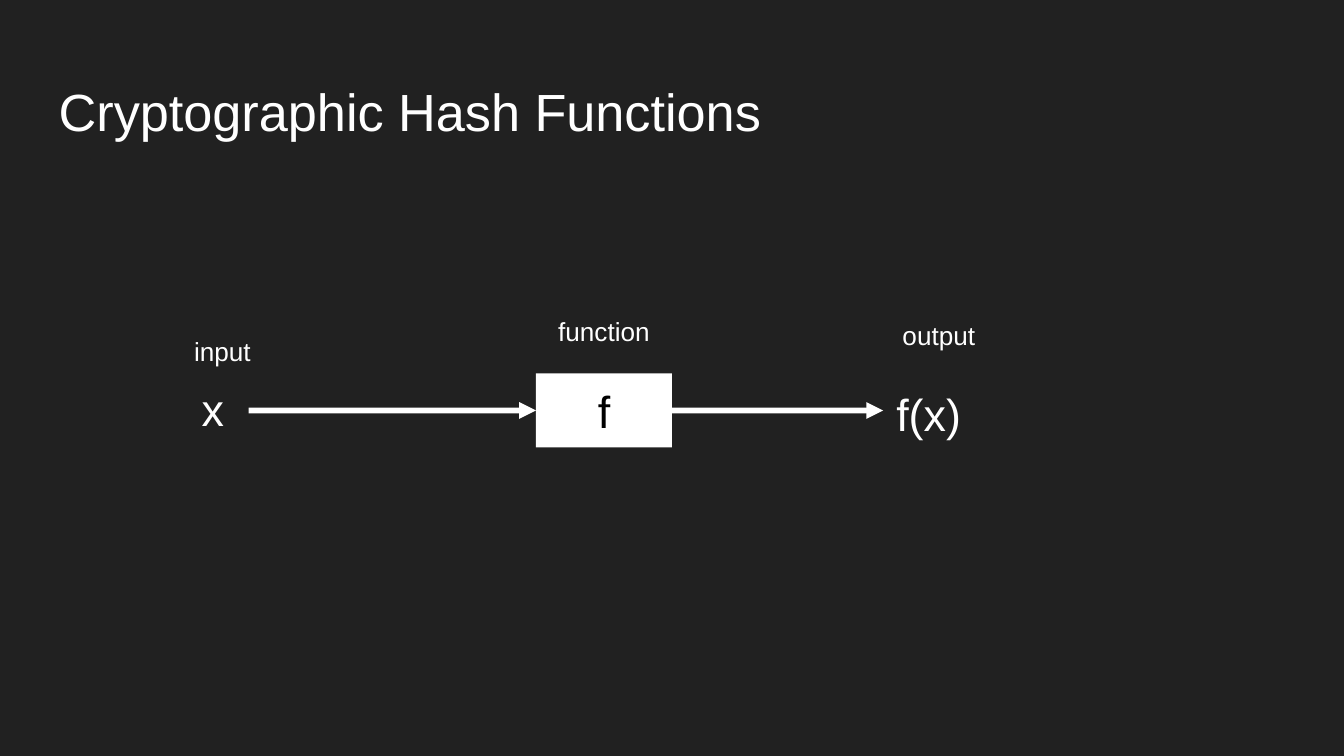
from lxml import etree
from pptx import Presentation
from pptx.dml.color import RGBColor
from pptx.enum.shapes import MSO_CONNECTOR, MSO_SHAPE
from pptx.enum.text import MSO_ANCHOR, PP_ALIGN
from pptx.oxml.ns import qn
from pptx.util import Cm, Pt

RECTANGLE, STRAIGHT = MSO_SHAPE.RECTANGLE, MSO_CONNECTOR.STRAIGHT
TOP, MIDDLE = MSO_ANCHOR.TOP, MSO_ANCHOR.MIDDLE
LEFT, CENTER = PP_ALIGN.LEFT, PP_ALIGN.CENTER
WHITE, BLACK, DARK = "FFFFFF", "000000", "212121"


def color(hex_string):
    return RGBColor.from_string(hex_string)


def write(shape, text, size, font_color=WHITE, anchor=TOP, align=LEFT):
    frame = shape.text_frame
    frame.word_wrap = True
    frame.vertical_anchor = anchor
    frame.margin_left = frame.margin_right = Cm(0.25)
    frame.margin_top = frame.margin_bottom = Cm(0.25)
    paragraph = frame.paragraphs[0]
    paragraph.alignment = align
    run = paragraph.add_run()
    run.text = text
    run.font.name = "Arial"
    run.font.size = Pt(size)
    run.font.color.rgb = color(font_color)


# Slide and background
presentation = Presentation()
presentation.slide_width = Cm(25.4)
presentation.slide_height = Cm(14.29)
slide = presentation.slides.add_slide(presentation.slide_layouts[5])
slide.background.fill.solid()
slide.background.fill.fore_color.rgb = color(DARK)

# Title
title = slide.shapes.title
title.left, title.top, title.width, title.height = Cm(0.86), Cm(1.24), Cm(23.67), Cm(1.6)
write(title, "Cryptographic Hash Functions", 28)

# Function box
function_box = slide.shapes.add_shape(RECTANGLE, Cm(10.13), Cm(7.06), Cm(2.57), Cm(1.4))
function_box.shadow.inherit = False
function_box.fill.solid()
function_box.fill.fore_color.rgb = color(WHITE)
function_box.line.fill.background()
write(function_box, "f", 24, BLACK, MIDDLE, CENTER)

# Input and output values, with the captions above
for text, left, top, width, height, size, anchor, align in [
    ("x", 3.56, 6.96, 1.27, 1.6, 24, TOP, LEFT),
    ("f(x)", 16.69, 7.06, 2.11, 1.4, 24, TOP, LEFT),
    ("input", 3.15, 5.94, 2.11, 1.4, 14, MIDDLE, CENTER),
    ("function", 10.13, 5.56, 2.57, 1.4, 14, MIDDLE, CENTER),
    ("output", 16.69, 5.64, 2.11, 1.4, 14, MIDDLE, CENTER),
]:
    label = slide.shapes.add_textbox(Cm(left), Cm(top), Cm(width), Cm(height))
    write(label, text, size, anchor=anchor, align=align)

# Arrows into and out of the function box
arrow_y = Cm(7.76)
arrow_in = slide.shapes.add_connector(STRAIGHT, Cm(4.7), arrow_y, Cm(10.13), arrow_y)
arrow_in.end_connect(function_box, 1)
arrow_out = slide.shapes.add_connector(STRAIGHT, Cm(12.7), arrow_y, Cm(16.69), arrow_y)
arrow_out.begin_connect(function_box, 3)
for arrow in (arrow_in, arrow_out):
    arrow.line.color.rgb = color(WHITE)
    arrow.line.width = Pt(3)
    properties = arrow._element.spPr
    etree.SubElement(properties.find(qn("a:ln")), qn("a:tailEnd"), type="triangle")
    etree.SubElement(properties, qn("a:effectLst"))

presentation.save("out.pptx")
